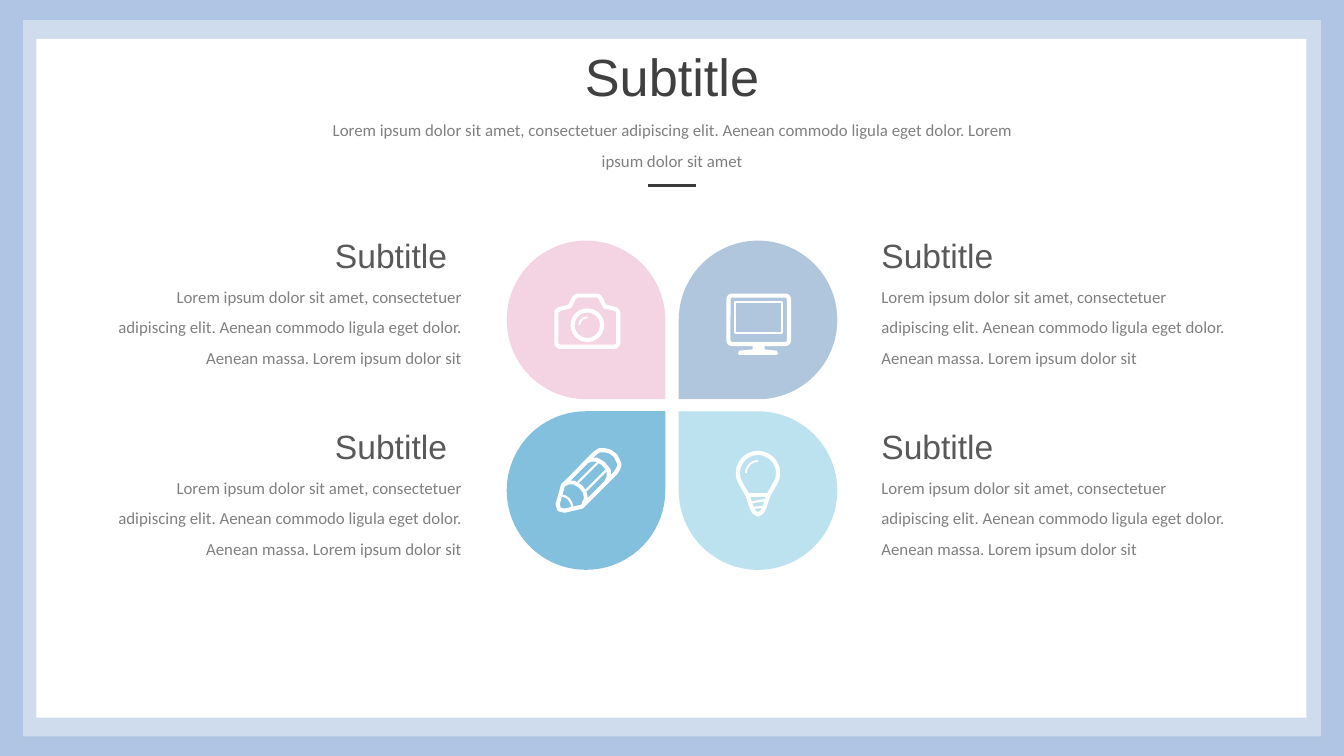
from math import cos, radians, sin

from lxml.etree import SubElement
from pptx import Presentation
from pptx.dml.color import RGBColor
from pptx.enum.shapes import MSO_CONNECTOR as Connector, MSO_SHAPE as Preset
from pptx.enum.text import MSO_ANCHOR as Anchor, MSO_AUTO_SIZE as AutoSize, PP_ALIGN as Align
from pptx.oxml.ns import qn
from pptx.util import Inches, Pt

WHITE = "FFFFFF"
INTRO = ("Lorem ipsum dolor sit amet, consectetuer adipiscing elit. "
         "Aenean commodo ligula eget dolor. ")


def color(value):
    return RGBColor.from_string(value)


def style(shape, fill=None, width=None):
    """Give a shape a plain fill, or a white outline of the given width."""
    shape.shadow.inherit = False
    if fill:
        shape.fill.solid()
        shape.fill.fore_color.rgb = color(fill)
    else:
        shape.fill.background()
    if width:
        shape.line.color.rgb = color(WHITE)
        shape.line.width = Pt(width)
    else:
        shape.line.fill.background()


# Widescreen deck, 16:9
deck = Presentation()
deck.slide_width, deck.slide_height = Inches(10), Inches(10 * 9 / 16)
page = deck.slides.add_slide(deck.slide_layouts[5])
shapes = page.shapes

# Background and double frame
page.background.fill.solid()
page.background.fill.fore_color.rgb = color("B0C5E3")
veil = shapes.add_shape(Preset.RECTANGLE, Inches(0.17), Inches(0.15), Inches(9.66), Inches(5.33))
style(veil, WHITE)
white = veil.element.spPr.find(qn("a:solidFill")).find(qn("a:srgbClr"))
SubElement(white, qn("a:alpha"), val="40000")
panel = shapes.add_shape(Preset.RECTANGLE, Inches(0.27), Inches(0.29), Inches(9.45), Inches(5.05))
style(panel, WHITE)

# Title, brought in front of the frame
title = shapes.title
title.left, title.top, title.width, title.height = (
    Inches(4.25), Inches(0.28), Inches(1.5), Inches(0.57))
shapes.element.append(title.element)

# Text boxes: box, text, size, font, colour, line spacing, alignment
texts = [(title, "Subtitle", 28, "Arial", "404040", 1, Align.CENTER)]
intro = shapes.add_textbox(Inches(2.28), Inches(0.77), Inches(5.44), Inches(0.53))
texts.append((intro, INTRO + "Lorem ipsum dolor sit amet", 9, "Calibri", "808080", 1.5, Align.CENTER))
for body_left, head_left, body_align, head_align in (
        (0.78, 2.28, Align.RIGHT, Align.CENTER), (6.46, 6.46, Align.LEFT, Align.LEFT)):
    for top in (1.64, 3.06):
        body = shapes.add_textbox(Inches(body_left), Inches(top + 0.37), Inches(2.75), Inches(0.76))
        texts.append((body, INTRO + "Aenean massa. Lorem ipsum dolor sit",
                      9, "Calibri", "808080", 1.5, body_align))
        head = shapes.add_textbox(Inches(head_left), Inches(top), Inches(1.26), Inches(0.46))
        texts.append((head, "Subtitle", 18, "Arial", "595959", 1.2, head_align))

for box, text, size, font, ink, spacing, align in texts:
    frame = box.text_frame
    frame.text = text
    frame.word_wrap = box is not title
    frame.auto_size = AutoSize.SHAPE_TO_FIT_TEXT
    frame.vertical_anchor = Anchor.TOP
    para = frame.paragraphs[0]
    para.alignment, para.line_spacing = align, spacing
    para.font.size, para.font.name = Pt(size), font
    para.font.color.rgb = color(ink)

# Petals, each pointing to the centre
for left, top, turn, fill in ((3.77, 3.06, 0, "83C0DD"), (5.05, 1.79, 180, "B0C6DD"),
                              (5.05, 3.06, 270, "BCE2EF"), (3.77, 1.79, 90, "F4D4E3")):
    petal = shapes.add_shape(Preset.TEAR, Inches(left), Inches(top), Inches(1.18), Inches(1.18))
    style(petal, fill)
    petal.rotation = turn

# Icon parts from presets: monitor frame and screen, camera lens
for preset, left, top, width, height, weight in (
        (Preset.ROUNDED_RECTANGLE, 5.42, 2.2, 0.45, 0.36, 2.2),
        (Preset.RECTANGLE, 5.47, 2.25, 0.35, 0.23, 1),
        (Preset.OVAL, 4.26, 2.31, 0.22, 0.22, 2.2)):
    part = shapes.add_shape(preset, Inches(left), Inches(top), Inches(width), Inches(height))
    style(part, width=weight)
    if preset == Preset.ROUNDED_RECTANGLE:
        part.adjustments[0] = 0.07

# Highlights on the lens and the bulb
for left, top, size in ((4.31, 2.36, 0.12), (5.55, 3.43, 0.18)):
    glint = shapes.add_shape(Preset.ARC, Inches(left), Inches(top), Inches(size), Inches(size))
    style(glint, width=1)
    glint.rotation = 270

# Icon outlines: points, closed, fill, line width
camera = [(4.16, 2.3), (4.24, 2.28), (4.27, 2.22), (4.29, 2.2), (4.45, 2.2), (4.47, 2.22),
          (4.5, 2.28), (4.58, 2.3), (4.6, 2.32), (4.6, 2.56), (4.58, 2.58), (4.16, 2.58),
          (4.14, 2.56), (4.14, 2.32)]
stand = [(5.6, 2.57), (5.69, 2.57), (5.69, 2.6), (5.78, 2.61), (5.79, 2.63), (5.78, 2.64),
         (5.5, 2.64), (5.49, 2.63), (5.5, 2.61), (5.6, 2.6)]
pencil = [(4.15, 3.75), (4.19, 3.61), (4.43, 3.37), (4.46, 3.35), (4.5, 3.35), (4.54, 3.36),
          (4.58, 3.39), (4.6, 3.43), (4.61, 3.46), (4.6, 3.49), (4.58, 3.52), (4.35, 3.75),
          (4.33, 3.77), (4.2, 3.8), (4.16, 3.79)]
collar = [(4.37, 3.43), (4.4, 3.42), (4.44, 3.42), (4.49, 3.45), (4.53, 3.5), (4.53, 3.55), (4.51, 3.59)]
wood = [(4.19, 3.61), (4.23, 3.59), (4.27, 3.59), (4.32, 3.62), (4.35, 3.66), (4.36, 3.71), (4.34, 3.75)]
lead = [(4.17, 3.69), (4.2, 3.69), (4.23, 3.71), (4.25, 3.74), (4.26, 3.78)]
dome = [(5.64 + 0.15 * cos(radians(angle)), 3.52 + 0.15 * sin(radians(angle)))
        for angle in range(150, 391, 15)]
bulb = dome + [(5.72, 3.68), (5.69, 3.77), (5.67, 3.81), (5.64, 3.83), (5.61, 3.81), (5.59, 3.77), (5.56, 3.68)]
for points, closed, fill, weight in (
        (camera, True, None, 2.2), (stand, True, WHITE, None), (pencil, True, None, 2.2),
        (collar, False, None, 2.2), (wood, False, None, 2), (lead, False, None, 1.2),
        (bulb, True, None, 2.2)):
    corners = [(Inches(x), Inches(y)) for x, y in points]
    builder = shapes.build_freeform(*corners[0])
    builder.add_line_segments(corners[1:], close=closed)
    style(builder.convert_to_shape(), fill, weight)

# Straight lines: title rule, pencil stripes, bulb thread
for x1, y1, x2, y2, ink, weight in (
        (4.82, 1.38, 5.18, 1.38, "3B3B3B", 1.5),
        (4.3, 3.59, 4.45, 3.44, WHITE, 1.2), (4.36, 3.65, 4.51, 3.5, WHITE, 1.2),
        (5.57, 3.68, 5.71, 3.68, WHITE, 2.2), (5.58, 3.74, 5.7, 3.72, WHITE, 1.2),
        (5.6, 3.78, 5.69, 3.77, WHITE, 1.2)):
    line = shapes.add_connector(Connector.STRAIGHT, Inches(x1), Inches(y1), Inches(x2), Inches(y2))
    line.line.color.rgb = color(ink)
    line.line.width = Pt(weight)
    SubElement(line.element.spPr, qn("a:effectLst"))

deck.save("out.pptx")
